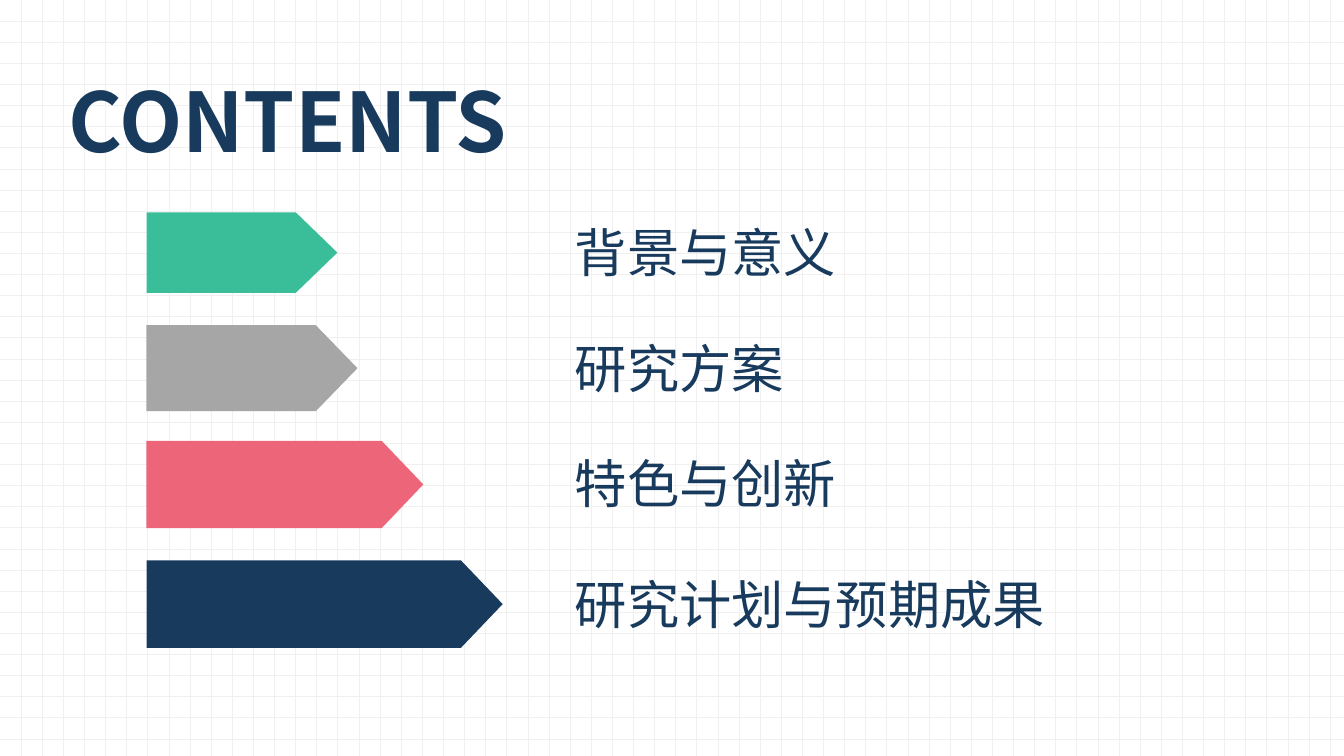
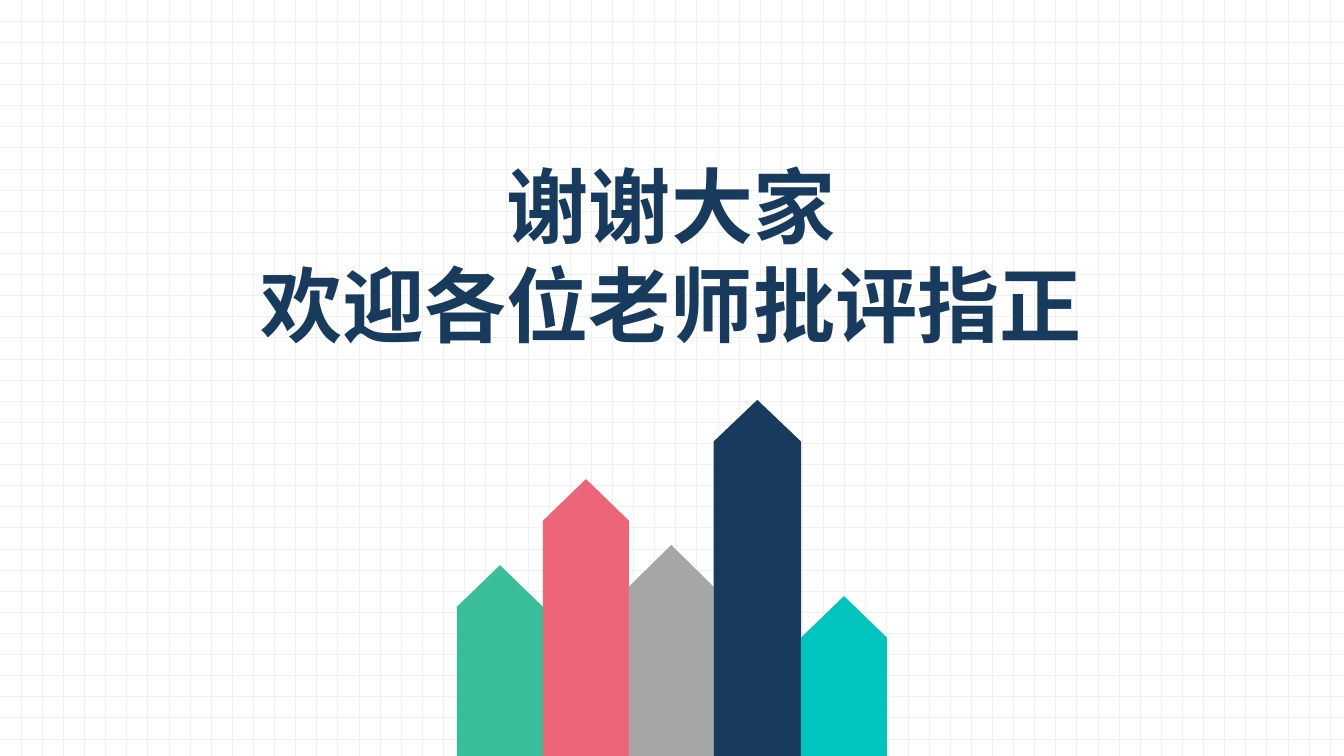
import pptx
import pptx.dml.color
import pptx.enum.dml
import pptx.enum.text
import pptx.oxml.ns
import pptx.util
import lxml.etree

Inches = pptx.util.Inches
Align = pptx.enum.text.PP_ALIGN

# Shared style
WIDTH = 10
HEIGHT = WIDTH * 9 / 16
FONT = "Noto Sans CJK SC"
NAVY, GREEN, GRAY, PINK, TEAL = "183A5D", "3ABE99", "A6A6A6", "ED6579", "01C4BE"
GRID, WHITE = "F0F0F0", "FFFFFF"
TIP = 0.31
LENGTHS = {GREEN: 1.42, GRAY: 1.57, PINK: 2.06, NAVY: 2.65, TEAL: 1.19}

# Contents slide: label, label top, arrow colour, arrow top, arrow thickness
CONTENTS_TITLE = "CONTENTS"
ARROW_LEFT = 1.09
CHAPTERS = [
    ("背景与意义", 1.59, GREEN, 1.58, 0.6),
    ("研究方案", 2.45, GRAY, 2.42, 0.64),
    ("特色与创新", 3.31, PINK, 3.28, 0.65),
    ("研究计划与预期成果", 4.21, NAVY, 4.17, 0.65),
]

# Closing slide: column colour and width, from left to right
CLOSING_TITLE = "谢谢大家\n欢迎各位老师批评指正"
COLUMNS_LEFT = 3.4
COLUMNS = [(GREEN, 0.64), (PINK, 0.64), (GRAY, 0.63), (NAVY, 0.65), (TEAL, 0.64)]


def color(value):
    return pptx.dml.color.RGBColor.from_string(value)


def write_text(shape, text, size=28, bold=False, align=Align.LEFT):
    frame = shape.text_frame
    frame.text = text
    frame.word_wrap = True
    frame.auto_size = pptx.enum.text.MSO_AUTO_SIZE.SHAPE_TO_FIT_TEXT
    frame.vertical_anchor = pptx.enum.text.MSO_ANCHOR.TOP
    for paragraph in frame.paragraphs:
        paragraph.alignment = align
        for run in paragraph.runs:
            run.font.name = FONT
            run.font.size = pptx.util.Pt(size)
            run.font.bold = bold
            run.font.color.rgb = color(NAVY)
            # East Asian characters take their own typeface setting
            east_asian = lxml.etree.SubElement(
                run.font._element, pptx.oxml.ns.qn("a:ea"))
            east_asian.set("typeface", FONT)


def add_titled_slide(presentation, text, left, top, width, height, align):
    slide = presentation.slides.add_slide(presentation.slide_layouts[5])
    title = slide.shapes.title
    title.left, title.top = Inches(left), Inches(top)
    title.width, title.height = Inches(width), Inches(height)
    write_text(title, text, size=44, bold=True, align=align)
    return slide


def add_outline(slide, points, fill):
    corners = [(Inches(x), Inches(y)) for x, y in points]
    builder = slide.shapes.build_freeform(*corners[0])
    builder.add_line_segments(corners[1:], close=True)
    shape = builder.convert_to_shape()
    shape.shadow.inherit = False
    shape.fill.solid()
    shape.fill.fore_color.rgb = color(fill)
    shape.line.fill.background()


def add_right_arrow(slide, fill, left, top, thickness):
    right, bottom = left + LENGTHS[fill], top + thickness
    add_outline(slide, [
        (left, bottom), (left, top), (right - TIP, top),
        (right, top + thickness / 2), (right - TIP, bottom),
    ], fill)


def add_column(slide, fill, left, width):
    top, right = HEIGHT - LENGTHS[fill], left + width
    add_outline(slide, [
        (right, HEIGHT), (left, HEIGHT), (left, top + TIP),
        (left + width / 2, top), (right, top + TIP),
    ], fill)


def build_contents(presentation):
    slide = add_titled_slide(
        presentation, CONTENTS_TITLE, 0.41, 0.47, 4.92, 0.84, Align.LEFT)
    for label, label_top, fill, arrow_top, thickness in CHAPTERS:
        add_right_arrow(slide, fill, ARROW_LEFT, arrow_top, thickness)
        box = slide.shapes.add_textbox(
            Inches(4.18), Inches(label_top), Inches(4.64), Inches(0.57))
        write_text(box, label)


def build_closing(presentation):
    slide = add_titled_slide(
        presentation, CLOSING_TITLE, 1.81, 1.11, 6.37, 1.58, Align.CENTER)
    left = COLUMNS_LEFT
    for fill, width in COLUMNS:
        add_column(slide, fill, left, width)
        left += width


def main():
    presentation = pptx.Presentation()
    presentation.slide_width = Inches(WIDTH)
    presentation.slide_height = Inches(HEIGHT)

    # Grid background for every slide
    background = presentation.slide_master.background.fill
    background.patterned()
    background.pattern = pptx.enum.dml.MSO_PATTERN.DOTTED_GRID
    background.fore_color.rgb = color(GRID)
    background.back_color.rgb = color(WHITE)

    build_contents(presentation)
    build_closing(presentation)
    presentation.save("out.pptx")


if __name__ == "__main__":
    main()
